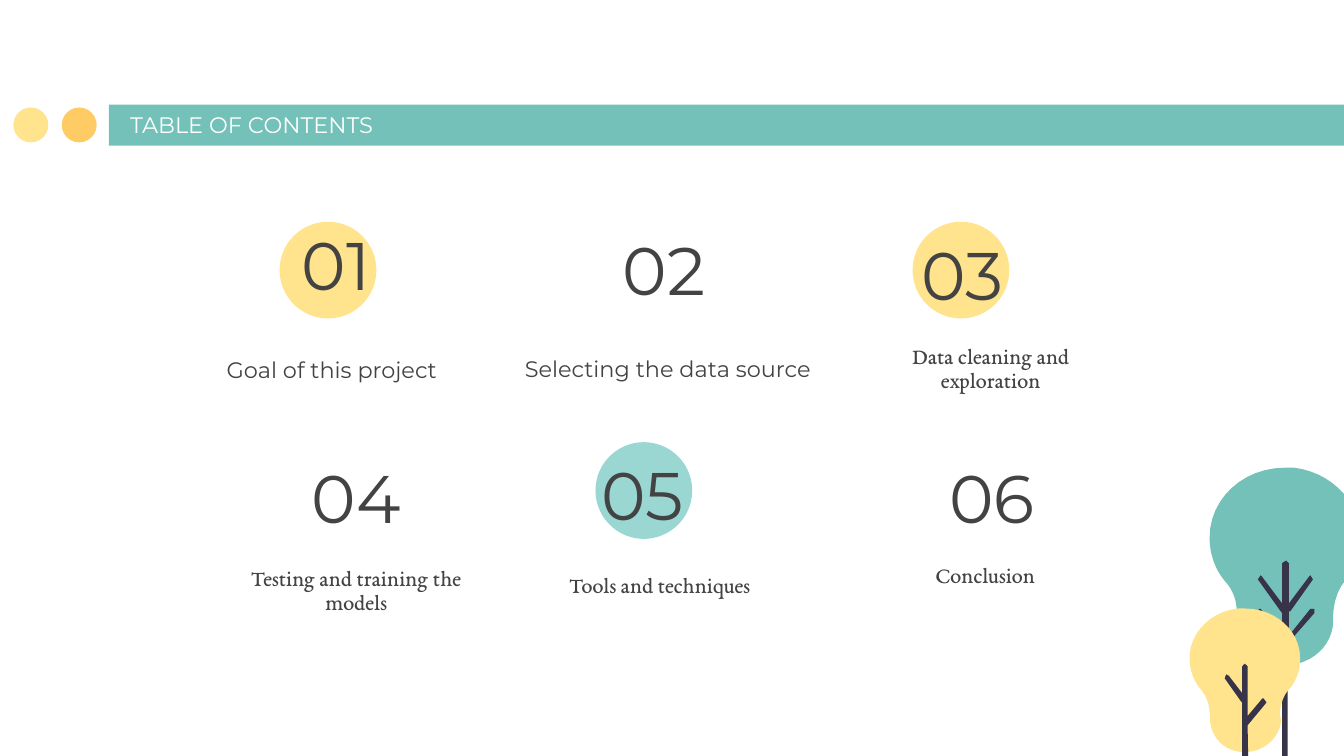
from pptx import Presentation
from pptx.dml.color import RGBColor
from pptx.enum.shapes import MSO_SHAPE
from pptx.enum.text import MSO_ANCHOR, PP_ALIGN
from pptx.util import Pt

RECTANGLE, OVAL = MSO_SHAPE.RECTANGLE, MSO_SHAPE.OVAL
TOP, MIDDLE, BOTTOM = MSO_ANCHOR.TOP, MSO_ANCHOR.MIDDLE, MSO_ANCHOR.BOTTOM
LEFT, CENTER = PP_ALIGN.LEFT, PP_ALIGN.CENTER

COLORS = {
    "teal": "74C1B9", "pale_teal": "9AD7D2", "yellow": "FFE48D",
    "orange": "FFCB64", "bark": "373449", "ink": "434343", "white": "FFFFFF",
}
SANS, SERIF = "Montserrat", "EB Garamond"
INSET = 7.2
DISC = 51.8
CURVE_STEPS = 12

# Boxes are (left, top, width, height) in points.
# Each entry: number, its box, label, its box, label font, disc (left, top, color)
ENTRIES = [
    ("01", (110.9, 118.8, 138.2, 45.4), "Goal of this project",
     (83.5, 167, 188.6, 45.4), SANS, (149.8, 118.8, "yellow")),
    ("02", (286.6, 121, 138.2, 45.4), "Selecting the data source",
     (266.4, 166.3, 182.9, 45.4), SANS, None),
    ("03", (446.4, 123.8, 138.2, 45.4), "Data cleaning and exploration",
     (455.8, 177.8, 149.8, 48.2), SERIF, (488.9, 118.8, "yellow")),
    ("04", (121.7, 243.4, 138.2, 45.4), "Testing and training the models",
     (115.9, 296.6, 149.8, 48.2), SERIF, None),
    ("05", (275, 241.9, 138.2, 45.4), "Tools and techniques",
     (278.6, 301, 149.8, 48.2), SERIF, (319, 236.9, "pale_teal")),
    ("06", (462.2, 243.4, 138.2, 45.4), "Conclusion",
     (452.9, 295.9, 149.8, 48.2), SERIF, None),
]

# Outlines relative to their tree: pairs are corners, sixes are Bezier curves.
BIG_CROWN = [
    (40.3, 0), (18, 0, 0, 16.6, 0, 37.4), (0, 46.1, 2.9, 54.7, 8.6, 61.2),
    (13, 66.2, 15.1, 72.7, 14.4, 79.2), (14.4, 82.8),
    (14.4, 95.8, 26.6, 105.8, 40.3, 105.8),
    (54.7, 105.8, 66.2, 95, 66.2, 82.1), (66.2, 80.6),
    (66.2, 72.7, 68.4, 65.5, 72.7, 60.5),
    (79.2, 52.6, 82.1, 42.5, 80.6, 33.1), (78.5, 15.8, 63.4, 2.2, 45.4, 0),
]
BIG_TRUNK = [
    (41, 49.7), (38.9, 51.1), (38.9, 72.7), (28.1, 58.3), (27.4, 57.6),
    (25.9, 59.8), (38.2, 77), (38.9, 77.8), (38.9, 90), (27.4, 75.6),
    (26.6, 75.6), (25.2, 77.8), (38.9, 94.3), (38.9, 169.9), (41, 171.4),
    (41.8, 169.9), (41.8, 94.3), (56.2, 77.8), (56.2, 75.6), (54, 75.6),
    (42.5, 90), (42.5, 77), (43.2, 77), (55.4, 59.8), (54, 57.6),
    (53.3, 58.3), (42.5, 72.7), (42.5, 51.1),
]
SMALL_CROWN = [
    (30.2, 0), (26.6, 0), (13, 1.4, 2.2, 11.5, 0.7, 23.8),
    (0, 31, 2.2, 38.2, 6.5, 43.2), (10.1, 47.5, 11.5, 52.6, 11.5, 58.3),
    (11.5, 69.1, 19.4, 77, 30.2, 77), (40.3, 77, 49, 69.1, 49.7, 59.8),
    (49, 56.9), (49, 52.6, 50.4, 47.5, 53.3, 43.9),
    (57.6, 39.6, 59.8, 33.1, 59.8, 26.6), (59.8, 11.5, 46.1, 0, 30.2, 0),
]
SMALL_TRUNK = [
    (30.2, 29.5), (28.8, 31), (28.8, 45.4), (21.6, 36), (20.2, 35.3),
    (19.4, 37.4), (28.1, 49.7), (28.8, 50.4), (28.8, 100.8), (30.2, 102.2),
    (32.4, 100.8), (31.7, 62.6), (41.8, 50.4), (40.3, 48.2), (39.6, 48.2),
    (31.7, 57.6), (31.7, 31),
]


def paint(shape, color):
    shape.shadow.inherit = False
    shape.fill.solid()
    shape.fill.fore_color.rgb = RGBColor.from_string(COLORS[color])
    shape.line.fill.background()


def add_block(slide, kind, box, color):
    paint(slide.shapes.add_shape(kind, *map(Pt, box)), color)


def add_text(slide, box, text, font, size, color, anchor, align, spacing=1.0):
    frame = slide.shapes.add_textbox(*map(Pt, box)).text_frame
    frame.word_wrap = True
    frame.vertical_anchor = anchor
    frame.margin_left = frame.margin_right = Pt(INSET)
    frame.margin_top = frame.margin_bottom = Pt(INSET)
    paragraph = frame.paragraphs[0]
    paragraph.alignment = align
    paragraph.line_spacing = spacing
    run = paragraph.add_run()
    run.text = text
    run.font.name = font
    run.font.size = Pt(size)
    run.font.color.rgb = RGBColor.from_string(COLORS[color])


def trace(outline):
    """Turn corners and Bezier curves into a list of points."""
    points = [outline[0]]
    for step in outline[1:]:
        if len(step) == 2:
            points.append(step)
            continue
        x0, y0 = points[-1]
        x1, y1, x2, y2, x3, y3 = step
        for i in range(1, CURVE_STEPS + 1):
            t = i / CURVE_STEPS
            a, b, c, d = (1 - t) ** 3, 3 * t * (1 - t) ** 2, 3 * t * t * (1 - t), t ** 3
            points.append((a * x0 + b * x1 + c * x2 + d * x3,
                           a * y0 + b * y1 + c * y2 + d * y3))
    return points


def add_header(slide, left, top, width, height):
    add_block(slide, RECTANGLE, (left, top, width, height), "teal")
    dot = 18.7
    for offset, color in ((25.2, "orange"), (51.1, "yellow")):
        add_block(slide, OVAL, (left - offset, top + 1.6, dot, dot), color)
    add_text(slide, (left + 4.3, top + 0.7, 394.6, 24.5), "TABLE OF CONTENTS",
             SANS, 12, "white", BOTTOM, LEFT)


def add_entry(slide, number, number_box, label, label_box, label_font, disc):
    if disc:
        left, top, color = disc
        add_block(slide, OVAL, (left, top, DISC, DISC), color)
    add_text(slide, number_box, number, SANS, 36, "ink", MIDDLE, CENTER)
    anchor, spacing = (BOTTOM, 1.0) if label_font == SANS else (TOP, 0.9)
    add_text(slide, label_box, label, label_font, 12, "ink", anchor, CENTER, spacing)


def add_tree(slide, left, top, crown, trunk, crown_color):
    tree = slide.shapes.add_group_shape()
    for outline, color in ((crown, crown_color), (trunk, "bark")):
        points = [(Pt(left + x), Pt(top + y)) for x, y in trace(outline)]
        builder = tree.shapes.build_freeform(*points[0])
        builder.add_line_segments(points[1:], close=True)
        paint(builder.convert_to_shape(), color)


def main():
    deck = Presentation()
    deck.slide_width, deck.slide_height = Pt(720), Pt(405)
    slide = deck.slides.add_slide(deck.slide_layouts[6])
    add_header(slide, 58.3, 56, 684, 22)
    for entry in ENTRIES:
        add_entry(slide, *entry)
    add_tree(slide, 648, 250.6, BIG_CROWN, BIG_TRUNK, "teal")
    add_tree(slide, 636.7, 326, SMALL_CROWN, SMALL_TRUNK, "yellow")
    deck.save("out.pptx")


if __name__ == "__main__":
    main()
